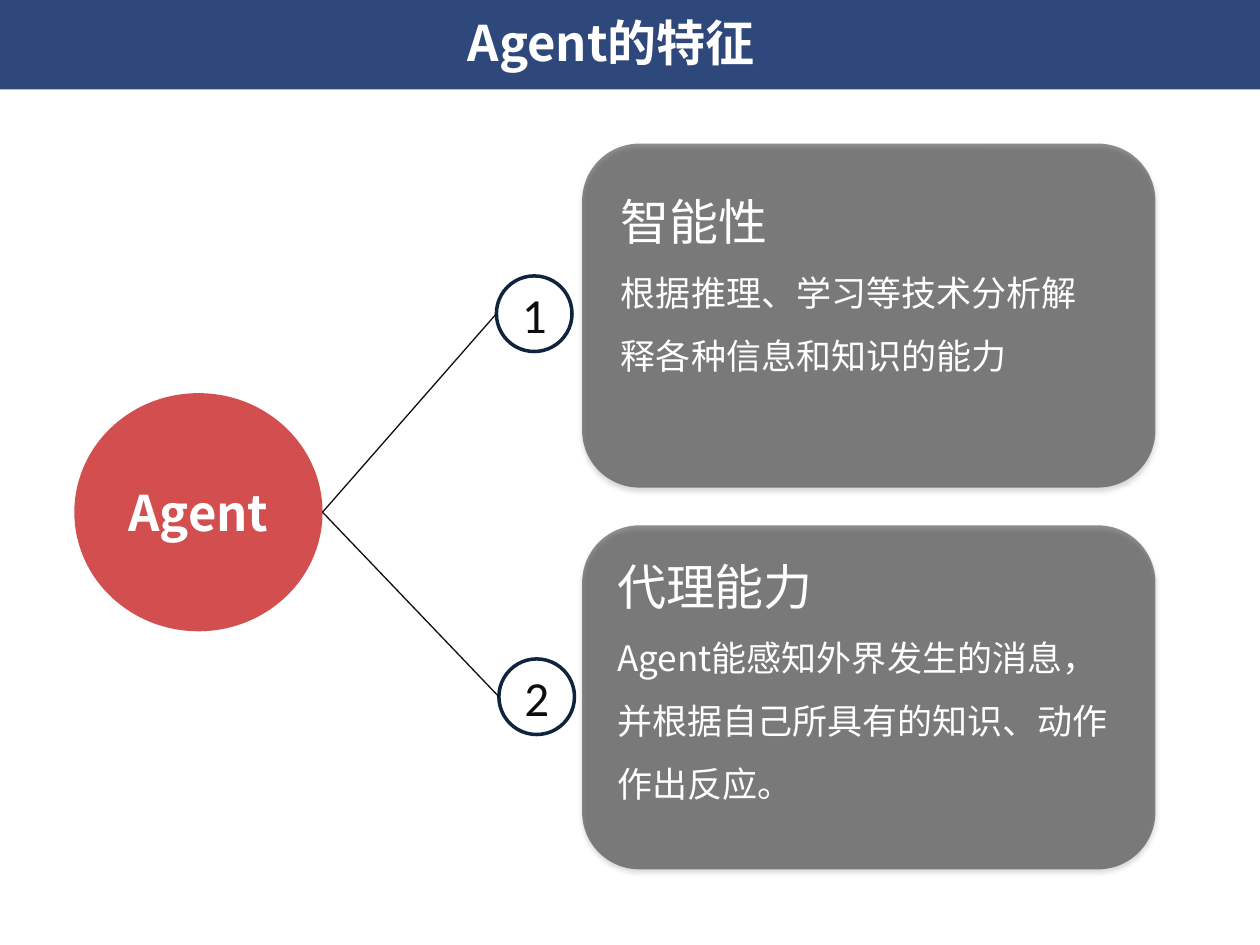
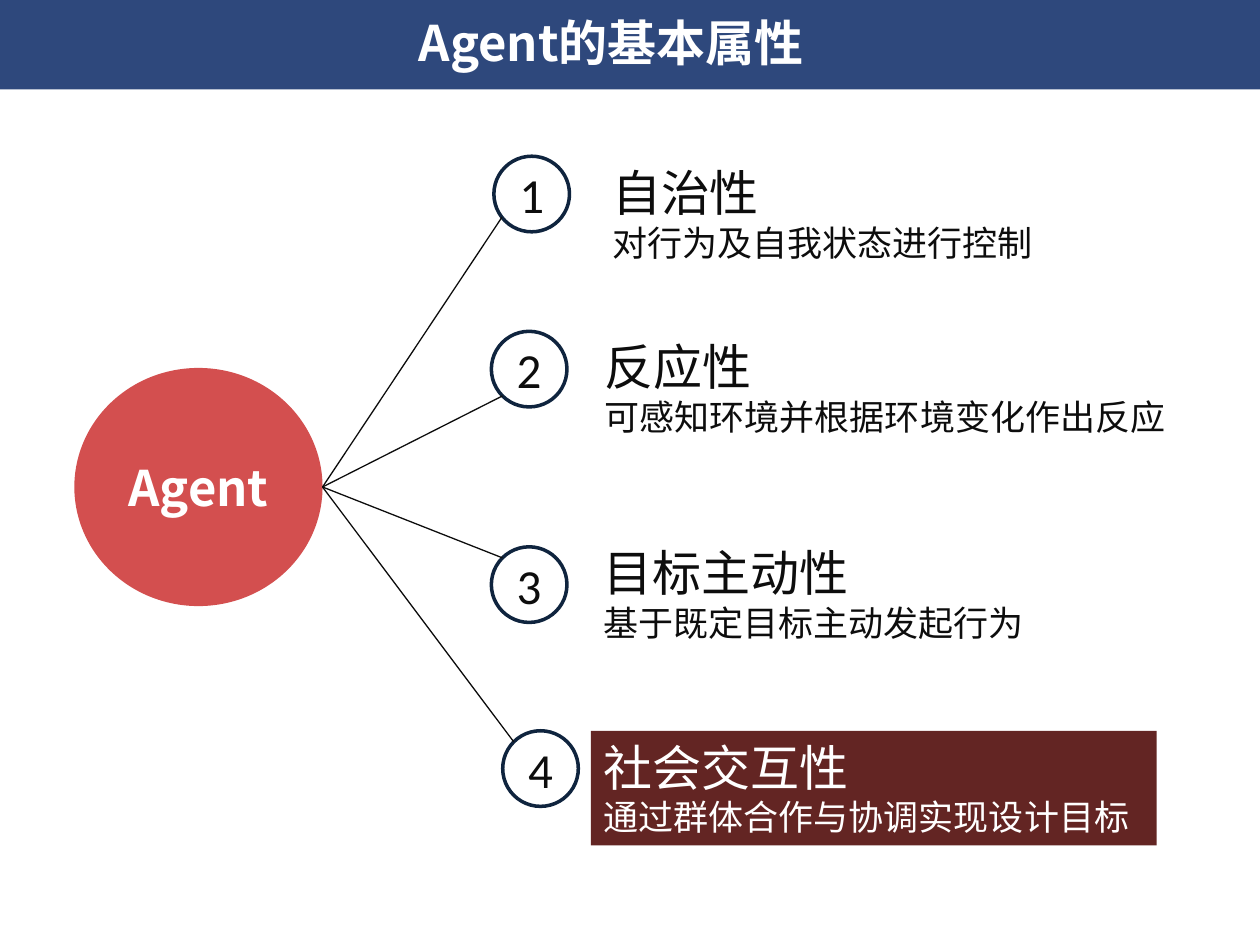
import math

import lxml.etree
import pptx
import pptx.dml.color
import pptx.enum.shapes
import pptx.enum.text
import pptx.oxml.ns
import pptx.util

Inches = pptx.util.Inches
Pt = pptx.util.Pt
SHAPE = pptx.enum.shapes.MSO_SHAPE
CENTER = pptx.enum.text.PP_ALIGN.CENTER
MIDDLE = pptx.enum.text.MSO_ANCHOR.MIDDLE
qn = pptx.oxml.ns.qn

CJK = "Noto Sans CJK SC"
NAVY, RED, MAROON = "002060", "C00000", "632523"
RING, INK, WHITE, BLACK = "0F243E", "0D0D0D", "FFFFFF", "000000"

AGENT_LEFT, AGENT_W, AGENT_H = 0.59, 1.97, 1.89
BADGE = 0.6


def rgb(color):
    return pptx.dml.color.RGBColor.from_string(color)


def add_child(parent, tag, **attrs):
    return lxml.etree.SubElement(parent, qn(tag), {k: str(v) for k, v in attrs.items()})


class Deck:
    """Holds the shared style and the slide being drawn."""

    def __init__(self):
        self.prs = pptx.Presentation()
        self.prs.slide_width = Inches(10)
        self.prs.slide_height = Inches(7.5)
        self.s = None

    def new_slide(self, title):
        self.s = self.prs.slides.add_slide(self.prs.slide_layouts[6])
        self.shape(SHAPE.RECTANGLE, 0, -0.03, 10, 0.74, NAVY, 82)
        tf = self.text_box(0.67, 0.05, 8.36, 0.57)
        self.set_text(tf.paragraphs[0], title, 28, WHITE, bold=True, align=CENTER)

    def shape(self, kind, x, y, w, h, fill=None, opacity=100):
        sp = self.s.shapes.add_shape(kind, Inches(x), Inches(y), Inches(w), Inches(h))
        sp.shadow.inherit = False
        sp.line.fill.background()
        if fill is None:
            sp.fill.background()
        else:
            sp.fill.solid()
            sp.fill.fore_color.rgb = rgb(fill)
            if opacity < 100:
                clr = sp._element.spPr.find(qn("a:solidFill"))[0]
                add_child(clr, "a:alpha", val=opacity * 1000)
        return sp

    def text_box(self, x, y, w, h, fill=None):
        sp = self.s.shapes.add_textbox(Inches(x), Inches(y), Inches(w), Inches(h))
        if fill:
            sp.fill.solid()
            sp.fill.fore_color.rgb = rgb(fill)
        sp.text_frame.word_wrap = True
        return sp.text_frame

    def set_text(self, p, text, size, color, font=CJK, bold=False, align=None):
        p.text = text
        p.alignment = align
        p.font.size = Pt(size)
        p.font.bold = bold
        p.font.color.rgb = rgb(color)
        p.font.name = font
        add_child(p._p.pPr.find(qn("a:defRPr")), "a:ea", typeface=font)

    def topic(self, x, y, w, h, heading, detail, color, fill=None, spacing=None):
        """Heading with its explanation below."""
        tf = self.text_box(x, y, w, h, fill)
        self.set_text(tf.paragraphs[0], heading, 28, color)
        p = tf.add_paragraph()
        p.line_spacing = spacing
        self.set_text(p, detail, 20, color)

    def card(self, y):
        sp = self.shape(SHAPE.ROUNDED_RECTANGLE, 4.62, y, 4.55, 2.73, BLACK, 44)
        effects = sp._element.spPr.find(qn("a:effectLst"))
        shadow = add_child(effects, "a:outerShdw", blurRad=Pt(3.1), dist=Pt(1.8),
                           dir=90 * 60000, rotWithShape=0)
        clr = add_child(shadow, "a:srgbClr", val=BLACK)
        add_child(clr, "a:alpha", val=35000)

    def agent(self, y):
        """Draw the hub and return the point where its spokes start."""
        sp = self.shape(SHAPE.OVAL, AGENT_LEFT, y, AGENT_W, AGENT_H, RED, 69)
        self.centre_text(sp, "Agent", WHITE, CJK, True)
        return AGENT_LEFT + AGENT_W, y + AGENT_H / 2

    def centre_text(self, sp, text, color, font, bold=False):
        sp.text_frame.vertical_anchor = MIDDLE
        self.set_text(sp.text_frame.paragraphs[0], text, 28, color, font, bold, CENTER)

    def badge(self, number, x, y, hub, angle):
        """Numbered ring, with a spoke from the hub to the ring at angle (degrees)."""
        sp = self.shape(SHAPE.OVAL, x, y, BADGE, BADGE)
        sp.line.color.rgb = rgb(RING)
        sp.line.width = Pt(2)
        self.centre_text(sp, str(number), INK, "Calibri")
        r, a = BADGE / 2, math.radians(angle)
        self.line(*hub, x + r + r * math.cos(a), y + r - r * math.sin(a))

    def line(self, x1, y1, x2, y2):
        cxn = self.s.shapes.add_connector(
            pptx.enum.shapes.MSO_CONNECTOR.STRAIGHT,
            Inches(x1), Inches(y1), Inches(x2), Inches(y2))
        cxn.line.color.rgb = rgb(INK)
        cxn.line.width = Pt(0.75)
        add_child(cxn._element.spPr, "a:effectLst")


def features(deck):
    deck.new_slide("Agent的特征")
    hub = deck.agent(3.12)
    deck.badge(1, 3.94, 2.19, hub, 180)
    deck.badge(2, 3.96, 5.23, hub, 180)
    for y in (4.17, 1.14):
        deck.card(y)
    deck.topic(4.83, 1.47, 4.09, 1.52, "智能性",
               "根据推理、学习等技术分析解释各种信息和知识的能力", WHITE, spacing=1.5)
    deck.topic(4.8, 4.37, 4.23, 2.09, "代理能力",
               "Agent能感知外界发生的消息，并根据自己所具有的知识、动作作出反应。",
               WHITE, spacing=1.5)


def attributes(deck):
    deck.new_slide("Agent的基本属性")
    hub = deck.agent(2.92)
    # The spokes meet the first two rings from below and the last two from above.
    badges = [(3.92, 1.24, 218), (3.9, 2.63, 225), (3.9, 4.34, 135), (3.99, 5.8, 135)]
    for number, (x, y, angle) in enumerate(badges, 1):
        deck.badge(number, x, y, hub, angle)
    topics = [
        (4.76, 1.24, "自治性", "对行为及自我状态进行控制"),
        (4.7, 2.62, "反应性", "可感知环境并根据环境变化作出反应"),
        (4.69, 4.26, "目标主动性", "基于既定目标主动发起行为"),
    ]
    for x, y, heading, detail in topics:
        deck.topic(x, y, 5.2, 0.91, heading, detail, INK)
    deck.topic(4.69, 5.8, 4.49, 0.91, "社会交互性", "通过群体合作与协调实现设计目标",
               WHITE, MAROON)


def main():
    deck = Deck()
    features(deck)
    attributes(deck)
    deck.prs.save("out.pptx")


if __name__ == "__main__":
    main()
